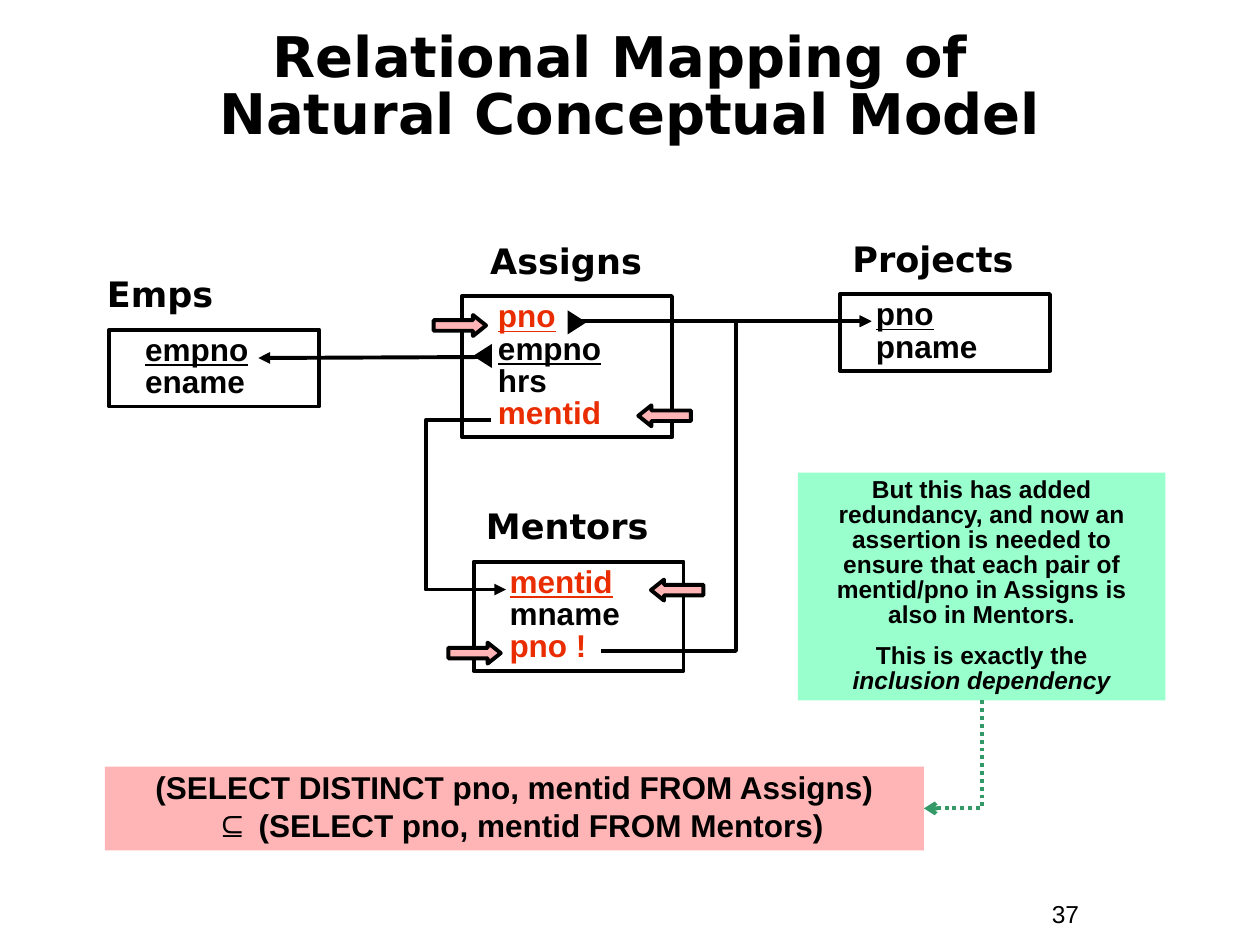
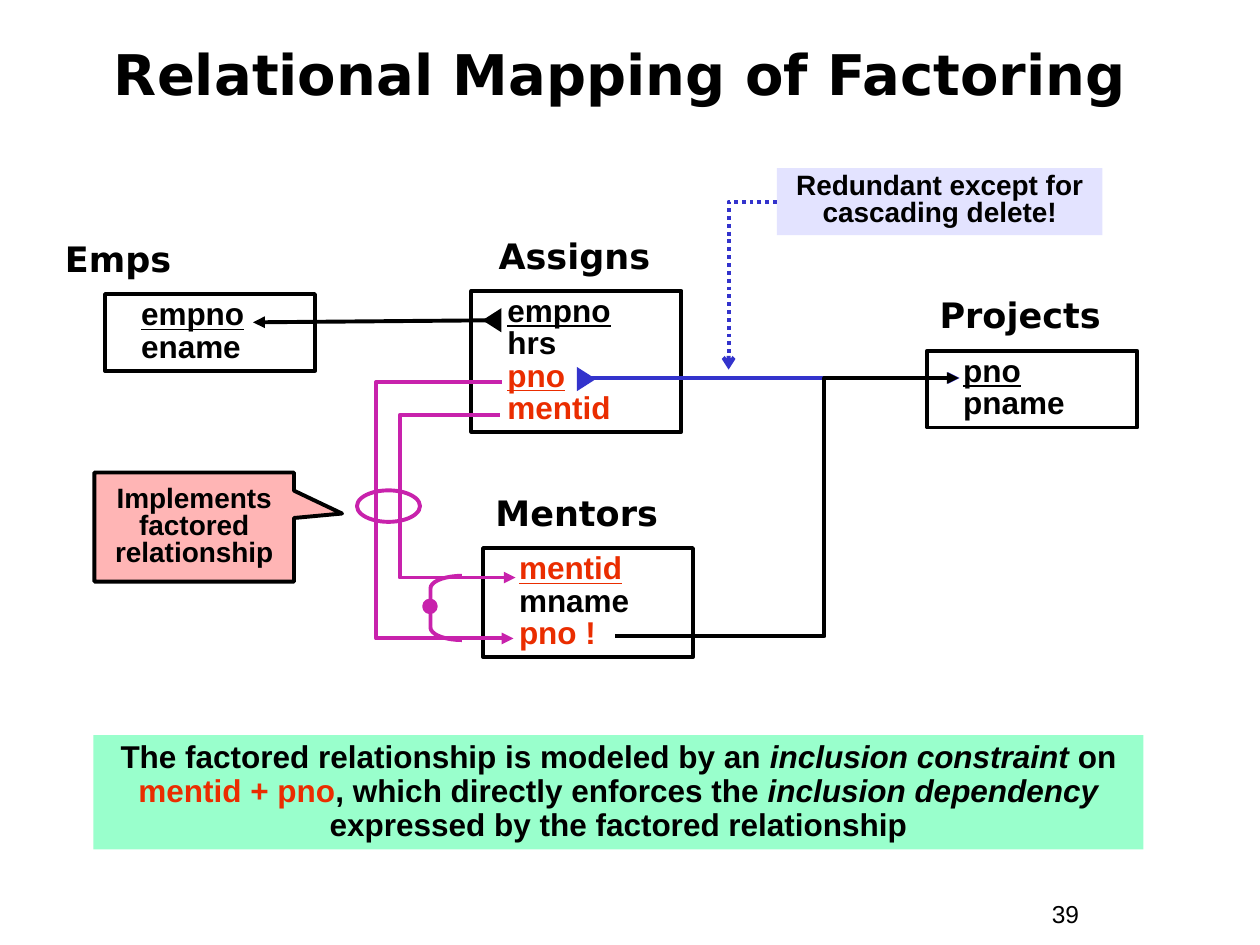
from math import cos, radians, sin

from lxml.etree import SubElement
from pptx import Presentation
from pptx.dml.color import RGBColor
from pptx.enum.dml import MSO_LINE
from pptx.enum.shapes import MSO_CONNECTOR, MSO_SHAPE
from pptx.enum.text import MSO_ANCHOR, PP_ALIGN
from pptx.oxml.ns import qn
from pptx.util import Inches, Pt

COLORS = {
    "ink": "000000", "red": "EA2D00", "pink": "FFB5B5", "mint": "99FFCC",
    "lilac": "E3E3FF", "green": "339966", "blue": "3333CC", "magenta": "C822AC",
}
BODY, HEADING = "Arial", "DejaVu Sans"
LINE = Pt(2.25)

deck = Presentation()
deck.slide_width, deck.slide_height = Inches(10), Inches(7.5)
COL, ROW = deck.slide_width / 120, deck.slide_height / 90

KEY = {"underline": True}
RED = {"color": "red"}
RED_KEY = {**KEY, **RED}
ITALIC = {"italic": True}
TITLE = {"font": HEADING, "size": 32, "spacing": 0.85, "align": PP_ALIGN.CENTER,
         "anchor": MSO_ANCHOR.MIDDLE}
CENTERED = {"preset": MSO_SHAPE.RECTANGLE, "align": PP_ALIGN.CENTER}


def write(page, text, at, preset=None, fill=None, edge=None, font=BODY, size=18,
          bold=True, align=PP_ALIGN.LEFT, anchor=MSO_ANCHOR.TOP, spacing=1.0,
          indent=0, before=0, turn=0, adjust=()):
    left, top, width, height = at
    frame = [int(v) for v in (left * COL, top * ROW, width * COL, height * ROW)]
    if preset is None:
        holder = page.shapes.add_textbox(*frame)
    else:
        holder = page.shapes.add_shape(preset, *frame)
        holder.shadow.inherit = False
        holder.rotation = turn
        for index, share in enumerate(adjust):
            holder.adjustments[index] = share
        if fill:
            holder.fill.solid()
            holder.fill.fore_color.rgb = RGBColor.from_string(COLORS[fill])
        else:
            holder.fill.background()
        if edge:
            holder.line.color.rgb = RGBColor.from_string(COLORS[edge])
            holder.line.width = LINE
        else:
            holder.line.fill.background()
    body = holder.text_frame
    body.word_wrap = True
    body.vertical_anchor = anchor
    for index, spans in enumerate(text):
        paragraph = body.paragraphs[0] if index == 0 else body.add_paragraph()
        paragraph.alignment = align
        paragraph.line_spacing = spacing
        if index:
            paragraph.space_before = Pt(before)
        if indent:
            properties = paragraph._p.get_or_add_pPr()
            properties.set("marL", str(int(indent * COL)))
            properties.set("indent", "0")
        for words, style in spans:
            for number, part in enumerate(words.split("\n")):
                if number:
                    paragraph.add_line_break()
                if not part:
                    continue
                run = paragraph.add_run()
                run.text = part
                run.font.name = font
                run.font.size = Pt(style.get("size", size))
                run.font.bold = bold
                run.font.italic = style.get("italic", False)
                run.font.underline = style.get("underline", False)
                run.font.color.rgb = RGBColor.from_string(COLORS[style.get("color", "ink")])
    return holder


def connect(page, start, end, color="ink", bend=None, corner=False,
            head="a:tailEnd", tip="triangle", dotted=False):
    kind = MSO_CONNECTOR.ELBOW if bend or corner else MSO_CONNECTOR.STRAIGHT
    link = page.shapes.add_connector(
        kind, int(start[0] * COL), int(start[1] * ROW), int(end[0] * COL), int(end[1] * ROW))
    link.line.color.rgb = RGBColor.from_string(COLORS[color])
    link.line.width = LINE
    if dotted:
        link.line.dash_style = MSO_LINE.ROUND_DOT
    SubElement(link.get_or_add_ln(), qn(head), type=tip)
    properties = link.element.spPr
    SubElement(properties, qn("a:effectLst"))
    geometry = properties.find(qn("a:prstGeom"))
    if corner:
        geometry.set("prst", "bentConnector2")
    elif bend:
        share = round((bend - start[0]) / (end[0] - start[0]) * 100000)
        SubElement(geometry.find(qn("a:avLst")), qn("a:gd"), name="adj1", fmla=f"val {share}")
    return link


EMPS = [("empno", KEY), ("ename", {})]
MENTORS = [("mentid", RED_KEY), ("mname", {}), ("pno !", RED)]
PROJECTS = [("pno", KEY), ("pname", {})]

schemas = [
    {
        "title": "Relational Mapping of \nNatural Conceptual Model", "title_rows": 11,
        "number": "37",
        "relations": [
            ("Projects", 80, 80, 28, PROJECTS),
            ("Mentors", 45.1, 45.1, 53.5, MENTORS),
            ("Assigns", 45.5, 44, 28.2,
             [("pno", RED_KEY), ("empno", KEY), ("hrs", {}), ("mentid", RED)]),
            ("Emps", 9, 10.4, 31.4, EMPS),
        ],
        "references": [
            ((46.8, 40), (48.2, 56.15), "ink", 40.56),
            ((54.1, 30.6), (83, 30.6), "ink", None),
            ((46.8, 34), (24.6, 34.1), "ink", None),
            ((57.25, 62), (83, 30.6), "ink", 70.1),
        ],
        "origins": [(53.8, 29.8, 90, "ink"), (44.8, 33, 270, "ink")],
    },
    {
        "title": "Relational Mapping of Factoring ", "title_rows": 9,
        "number": "39",
        "relations": [
            ("Projects", 88.3, 88.3, 33.4, PROJECTS),
            ("Mentors", 46, 46, 52.2, MENTORS),
            ("Assigns", 46.3, 44.9, 27.7,
             [("empno", KEY), ("hrs", {}), ("pno", RED_KEY), ("mentid", RED)]),
            ("Emps", 5, 10, 28, EMPS),
        ],
        "references": [
            ((47.6, 39.5), (49.1, 55), "magenta", 38.1),
            ((55.4, 36), (91.4, 36), "blue", None),
            ((47.6, 30.5), (24.1, 30.7), "ink", None),
            ((58.6, 60.6), (91.3, 36), "ink", 78.5),
            ((47.8, 36.4), (48.9, 60.8), "magenta", 35.8),
        ],
        "origins": [(54.7, 35.2, 90, "blue"), (45.7, 29.6, 270, "ink")],
    },
]

pages = []
for schema in schemas:
    page = deck.slides.add_slide(deck.slide_layouts[6])
    pages.append(page)
    write(page, [[(schema["number"], {})]], (99, 85, 11, 4.1), size=14, bold=False)
    write(page, [[(schema["title"], {})]], (4, 3, 112, schema["title_rows"]), **TITLE)
    for name, name_left, left, top, fields in schema["relations"]:
        write(page, [[(name, {})]], (name_left, top - 6, 20, 5.3), font=HEADING, size=20)
        write(page, [[field] for field in fields], (left, top, 20, 1.2 + 3.06 * len(fields)),
              preset=MSO_SHAPE.RECTANGLE, edge="ink", spacing=0.85, indent=2.25)
    for start, end, color, bend in schema["references"]:
        connect(page, start, end, color=color, bend=bend)
    for left, top, turn, color in schema["origins"]:
        write(page, [], (left, top, 2.3, 1.8), preset=MSO_SHAPE.ISOSCELES_TRIANGLE,
              fill=color, turn=turn)

natural, factoring = pages

for left, top, direction in [
    (41.3, 30, MSO_SHAPE.RIGHT_ARROW), (42.7, 61.2, MSO_SHAPE.RIGHT_ARROW),
    (60.8, 38.6, MSO_SHAPE.LEFT_ARROW), (62, 55.2, MSO_SHAPE.LEFT_ARROW),
]:
    write(natural, [], (left, top, 5, 2), preset=direction, fill="pink", edge="ink",
          adjust=(0.5, 0.625))

assertion = write(
    natural,
    [[("(SELECT DISTINCT pno, mentid FROM Assigns)\n", {}), (" ⊆", {"size": 20}),
      (" (SELECT pno, mentid FROM Mentors)", {})]],
    (10, 73, 78, 8), fill="pink", spacing=0.9, **CENTERED)
redundancy = write(
    natural,
    [[("But this has added redundancy, and now an assertion is needed to ensure that "
       "each pair of mentid/pno in Assigns is also in Mentors.", {})],
     [("This is exactly the\n", {}), ("inclusion dependency", ITALIC)]],
    (76, 45, 35, 21.7), fill="mint", size=14, spacing=0.85, before=8.8, **CENTERED)
dependency = connect(natural, (88, 77), (93.5, 66.7), color="green", corner=True,
                     head="a:headEnd", tip="arrow", dotted=True)
dependency.begin_connect(assertion, 3)
dependency.end_connect(redundancy, 2)

arc = [(44 + 3 * cos(radians(a)), 56.04 - 1.2 * sin(radians(a))) for a in range(90, 181, 10)]
arc += [(x, 115.8 - y) for x, y in reversed(arc)]
outline = [(int(x * COL), int(y * ROW)) for x, y in arc]
builder = factoring.shapes.build_freeform(*outline[0])
builder.add_line_segments(outline[1:], close=False)
bracket = builder.convert_to_shape()
bracket.shadow.inherit = False
bracket.fill.background()
bracket.line.color.rgb = RGBColor.from_string(COLORS["magenta"])
bracket.line.width = LINE

for at, fill in [((40.4, 57.2, 1.1, 1.1), "magenta"), ((34, 46.7, 6, 3), None)]:
    write(factoring, [], at, preset=MSO_SHAPE.OVAL, fill=fill, edge="magenta")

write(factoring,
      [[("The factored relationship is modeled by an ", {}), ("inclusion constraint", ITALIC),
        (" on ", {}), ("mentid + pno", RED), (", which directly enforces the ", {}),
        ("inclusion dependency", ITALIC), (" expressed by the factored relationship", {})]],
      (8.9, 70, 100, 10.9), fill="mint", spacing=0.9, **CENTERED)
cascade = write(factoring, [[("Redundant except for cascading delete!", {})]],
                (74, 16, 31, 6.4), fill="lilac", size=16, spacing=0.8, **CENTERED)
pointer = connect(factoring, (74, 19.2), (69.4, 35.2), color="blue", corner=True,
                  tip="arrow", dotted=True)
pointer.begin_connect(cascade, 1)
write(factoring, [[("Implements factored relationship", {})]], (9, 45, 19, 10.4),
      preset=MSO_SHAPE.RECTANGULAR_CALLOUT, fill="pink", edge="ink", size=16, spacing=0.8,
      align=PP_ALIGN.CENTER, anchor=MSO_ANCHOR.MIDDLE, adjust=(0.741, -0.124))

deck.save("out.pptx")
